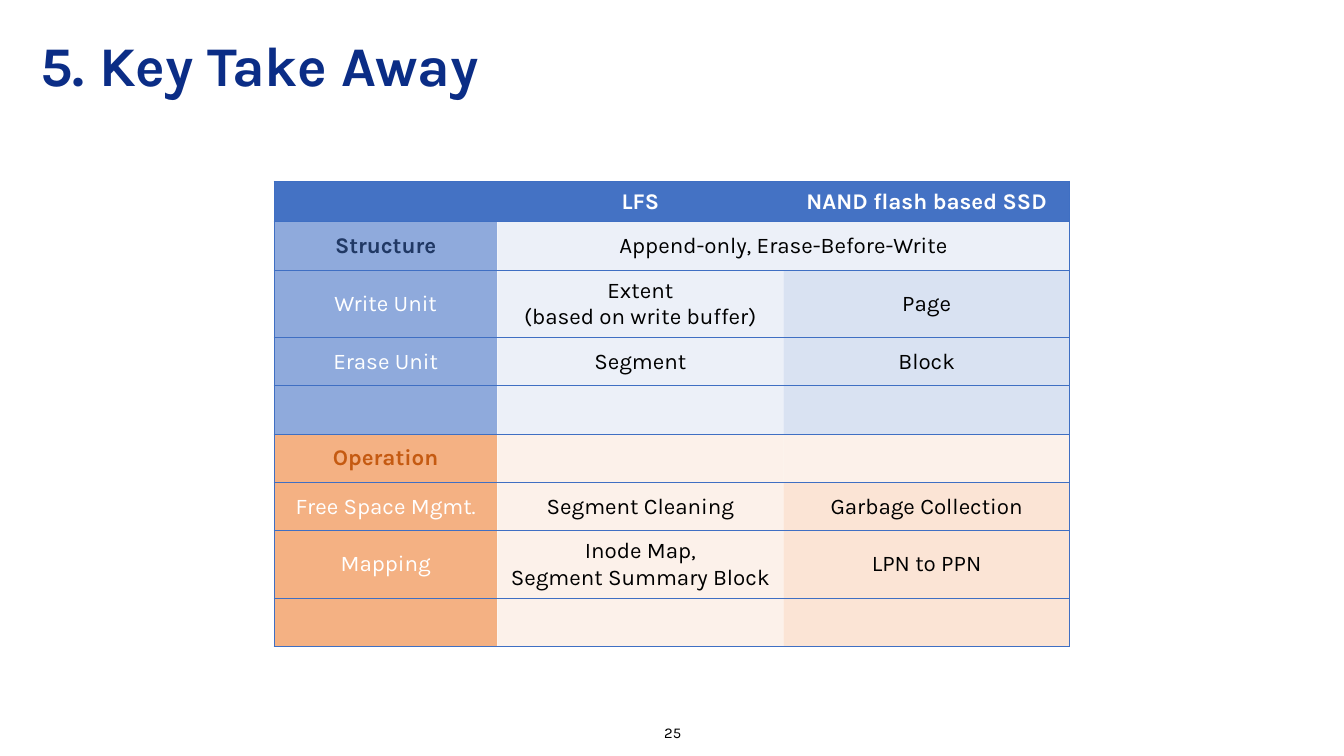
import pptx
import pptx.dml.color
import pptx.enum.text
import pptx.oxml.ns
import pptx.util
from lxml import etree

Inches = pptx.util.Inches
ALIGN = pptx.enum.text.PP_ALIGN
MIDDLE = pptx.enum.text.MSO_ANCHOR.MIDDLE
qn = pptx.oxml.ns.qn

FONT = "Karla"
NO_GRID_STYLE = "{2D5ABB26-0587-4C30-8999-92F81FD0307C}"
WHITE, BLACK, NAVY = "FFFFFF", "000000", "0B2D86"
HEADER, RULE = "4472C4", "3F6FC3"
BLUES = ("8FAADC", "DAE3F3", "B4C7E7")
ORANGES = ("F4B183", "FBE5D6", "F8CBAD")


def rgb(code):
    return pptx.dml.color.RGBColor.from_string(code)


def write(frame, text, size=12, color=BLACK, bold=False, align=ALIGN.CENTER, spacing=None):
    """Fill a text frame with one paragraph; newlines become line breaks."""
    paragraph = frame.paragraphs[0]
    paragraph.alignment = align
    if spacing:
        paragraph.line_spacing = spacing
    if not text:
        # An empty cell keeps the body size so that its row does not grow
        etree.SubElement(paragraph._p, qn("a:endParaRPr"), sz=str(size * 100))
        return
    for number, line in enumerate(text.split("\n")):
        if number:
            paragraph.add_line_break()
        run = paragraph.add_run()
        run.text = line
        run.font.name = FONT
        run.font.size = pptx.util.Pt(size)
        run.font.bold = bold
        run.font.color.rgb = rgb(color)


class Deck:
    def __init__(self, width, height):
        self.presentation = pptx.Presentation()
        self.presentation.slide_width = Inches(width)
        self.presentation.slide_height = Inches(height)
        self.slide = self.presentation.slides.add_slide(self.presentation.slide_layouts[6])

    def text(self, left, top, width, height, text, **style):
        box = self.slide.shapes.add_textbox(*map(Inches, (left, top, width, height)))
        frame = box.text_frame
        frame.word_wrap = True
        frame.vertical_anchor = MIDDLE
        frame.margin_left = frame.margin_right = Inches(0.07)
        frame.margin_top = frame.margin_bottom = Inches(0.04)
        write(frame, text, **style)

    def table(self, left, top, widths, heights):
        frame = self.slide.shapes.add_table(
            len(heights), len(widths), Inches(left), Inches(top),
            Inches(sum(widths)), Inches(sum(heights)))
        table = frame.table
        table.horz_banding = False
        table._tbl.find(".//" + qn("a:tableStyleId")).text = NO_GRID_STYLE
        for column, width in zip(table.columns, widths):
            column.width = Inches(width)
        for row, height in zip(table.rows, heights):
            row.height = Inches(height)
        return table

    def cell(self, cell, text, fill, edges, alpha=100, **style):
        cell.vertical_anchor = MIDDLE
        cell.margin_left = cell.margin_right = Inches(0.07)
        cell.margin_top = cell.margin_bottom = Inches(0.05)
        write(cell.text_frame, text, **style)
        properties = cell._tc.get_or_add_tcPr()
        for edge in edges:
            line = etree.SubElement(properties, qn("a:ln" + edge), w="9525")
            solid = etree.SubElement(line, qn("a:solidFill"))
            etree.SubElement(solid, qn("a:srgbClr"), val=RULE)
        cell.fill.solid()
        cell.fill.fore_color.rgb = rgb(fill)
        if alpha < 100:
            color = properties.find(qn("a:solidFill") + "/" + qn("a:srgbClr"))
            etree.SubElement(color, qn("a:alpha"), val=str(alpha * 1000))


def main():
    # Widescreen, 16:9
    deck = Deck(10, 10 * 9 / 16)

    # Title and page number
    deck.text(0.23, 0.17, 6.82, 0.68, "5. Key Take Away", size=30, color=NAVY,
              bold=True, align=ALIGN.LEFT, spacing=0.9)
    deck.text(3.88, 5.33, 2.25, 0.24, "25", size=8)

    # Comparison content: section tints, heading colour, rows
    headings = ("", "LFS", "NAND flash based SSD")
    sections = [
        (BLUES, "203864", [
            ("Structure", "Append-only, Erase-Before-Write", ""),
            ("Write Unit", "Extent\n(based on write buffer)", "Page"),
            ("Erase Unit", "Segment", "Block"),
            ("", "", "")]),
        (ORANGES, "C55A11", [
            ("Operation", "", ""),
            ("Free Space Mgmt.", "Segment Cleaning", "Garbage Collection"),
            ("Mapping", "Inode Map,\nSegment Summary Block", "LPN to PPN"),
            ("", "", "")]),
    ]
    heights = [0.3] + [0.49 if "\n" in row[1] else 0.36
                       for _, _, rows in sections for row in rows]
    comparison = deck.table(2.04, 1.35, (1.66, 2.13, 2.13), heights)
    comparison.cell(1, 1).merge(comparison.cell(1, 2))
    sides = ("L", "", "R")

    # Header row
    for column, heading in enumerate(headings):
        deck.cell(comparison.cell(0, column), heading, HEADER, sides[column] + "TB",
                  color=WHITE, bold=True)

    # Section rows: the first one of each section is its heading
    row_number = 1
    for tints, heading_color, rows in sections:
        for position, row in enumerate(rows):
            is_heading = position == 0
            for column, text in enumerate(row):
                cell = comparison.cell(row_number, column)
                is_label = column == 0
                tint = tints[1] if is_heading and column == 2 else tints[column]
                label_color = heading_color if is_heading else WHITE
                side = "R" if cell.is_merge_origin else sides[column]
                deck.cell(cell, text, tint, side + "TB", alpha=100 if is_label else 50,
                          color=label_color if is_label else BLACK,
                          bold=is_label and is_heading)
            row_number += 1

    deck.presentation.save("out.pptx")


if __name__ == "__main__":
    main()
